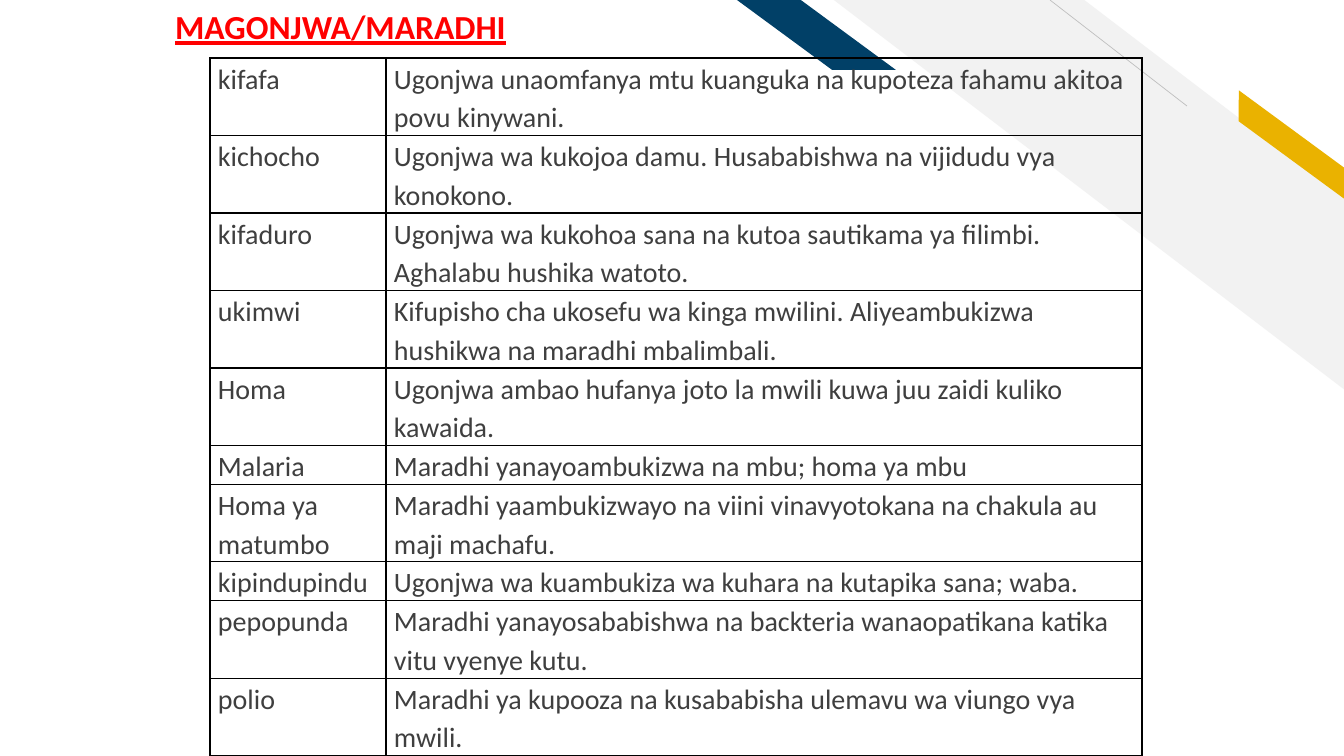
from lxml import etree
from pptx import Presentation
from pptx.dml.color import RGBColor
from pptx.enum.shapes import MSO_CONNECTOR, MSO_SHAPE
from pptx.enum.text import MSO_ANCHOR, PP_ALIGN
from pptx.oxml.ns import qn
from pptx.util import Pt

STRIPE = MSO_SHAPE.DIAGONAL_STRIPE
PARALLELOGRAM = MSO_SHAPE.PARALLELOGRAM
STRAIGHT = MSO_CONNECTOR.STRAIGHT
TOP = MSO_ANCHOR.TOP
LEFT = PP_ALIGN.LEFT

EMU_PER_PX = 914400 / 100.8
SLIDE_SIZE = (1344, 756)
FONT = "Calibri"

TITLE = "MAGONJWA/MARADHI"
TITLE_BOX = (165, 1, 1011, 50)

# Preset, box, rotation, adjustment, colour
BANDS = [
    (STRIPE, (834, 0, 511, 390), 0, 0.51, "F2F2F2"),
    (PARALLELOGRAM, (1217, 132, 149, 25), 36.3, 0.72, "EAB200"),
    (PARALLELOGRAM, (737, 0, 159, 70), 0, 1.36, "014067"),
]
HAIRLINE = (1187, 106, 1050, 0)

# Disease, meaning, lines of text in the row
DISEASES = [
    ("kifafa", "Ugonjwa unaomfanya mtu kuanguka na kupoteza fahamu akitoa povu kinywani.", 2),
    ("kichocho", "Ugonjwa wa kukojoa damu. Husababishwa na vijidudu vya konokono.", 2),
    ("kifaduro", "Ugonjwa wa kukohoa sana na kutoa sautikama ya filimbi. Aghalabu hushika watoto.", 2),
    ("ukimwi", "Kifupisho cha ukosefu wa kinga mwilini. Aliyeambukizwa hushikwa na maradhi mbalimbali.", 2),
    ("Homa", "Ugonjwa ambao hufanya joto la mwili kuwa juu zaidi kuliko kawaida.", 2),
    ("Malaria", "Maradhi yanayoambukizwa na mbu; homa ya mbu", 1),
    ("Homa ya matumbo", "Maradhi yaambukizwayo na viini vinavyotokana na chakula au maji machafu.", 2),
    ("kipindupindu", "Ugonjwa wa kuambukiza wa kuhara na kutapika sana; waba.", 1),
    ("pepopunda", "Maradhi yanayosababishwa na backteria wanaopatikana katika vitu vyenye kutu.", 2),
    ("polio", "Maradhi ya kupooza na kusababisha ulemavu wa viungo vya mwili.", 2),
]
TABLE_LEFT, TABLE_TOP = 210, 58
COLUMN_WIDTHS = (176, 756)
LINE_HEIGHT = 38
LINE_SPACING = 1.13  # keeps all ten rows above the bottom edge
CELL_MARGIN = 8


def px(length):
    return round(length * EMU_PER_PX)


def box(lengths):
    return [px(length) for length in lengths]


def color(value):
    return RGBColor.from_string(value)


def format_run(run, size, value):
    run.font.name = FONT
    run.font.size = Pt(size)
    run.font.color.rgb = color(value)


def add_band(slide, preset, bounds, rotation, adjustment, value):
    """Add a horizontally mirrored decorative band."""
    shape = slide.shapes.add_shape(preset, *box(bounds))
    shape.adjustments[0] = adjustment
    shape.rotation = rotation
    shape.shadow.inherit = False
    shape.fill.solid()
    shape.fill.fore_color.rgb = color(value)
    shape.line.fill.background()
    shape._element.spPr.find(qn("a:xfrm")).set("flipH", "1")


def add_hairline(slide):
    line = slide.shapes.add_connector(STRAIGHT, *box(HAIRLINE))
    line.line.color.rgb = color("BFBFBF")
    line.line.width = Pt(0.5)
    etree.SubElement(line._element.spPr, qn("a:effectLst"))


def format_title(title):
    title.left, title.top, title.width, title.height = box(TITLE_BOX)
    frame = title.text_frame
    frame.text = TITLE
    frame.vertical_anchor = TOP
    paragraph = frame.paragraphs[0]
    paragraph.alignment = LEFT
    run = paragraph.runs[0]
    format_run(run, 24, "FF0000")
    run.font.bold = True
    run.font.underline = True


def add_borders(cell):
    properties = cell._tc.get_or_add_tcPr()
    for side in ("lnL", "lnR", "lnT", "lnB"):
        border = etree.SubElement(properties, qn(f"a:{side}"), w=str(Pt(1)))
        fill = etree.SubElement(border, qn("a:solidFill"))
        etree.SubElement(fill, qn("a:srgbClr"), val="000000")


def fill_cell(cell, text):
    cell.margin_left = cell.margin_right = px(CELL_MARGIN)
    cell.margin_top = cell.margin_bottom = 0
    cell.text_frame.text = text
    paragraph = cell.text_frame.paragraphs[0]
    paragraph.line_spacing = LINE_SPACING
    format_run(paragraph.runs[0], 20, "3F3F3F")
    add_borders(cell)
    cell.fill.background()


def add_disease_table(slide):
    height = LINE_HEIGHT * sum(lines for _, _, lines in DISEASES)
    bounds = (TABLE_LEFT, TABLE_TOP, sum(COLUMN_WIDTHS), height)
    table = slide.shapes.add_table(len(DISEASES), len(COLUMN_WIDTHS), *box(bounds)).table
    table.first_row = False
    table.horz_banding = False
    for column, width in zip(table.columns, COLUMN_WIDTHS):
        column.width = px(width)
    for row, (disease, meaning, lines) in zip(table.rows, DISEASES):
        row.height = px(lines * LINE_HEIGHT)
        for cell, text in zip(row.cells, (disease, meaning)):
            fill_cell(cell, text)


def main():
    presentation = Presentation()
    presentation.slide_width, presentation.slide_height = box(SLIDE_SIZE)
    slide = presentation.slides.add_slide(presentation.slide_layouts[5])
    format_title(slide.shapes.title)
    for band in BANDS:
        add_band(slide, *band)
    add_hairline(slide)
    add_disease_table(slide)
    presentation.save("out.pptx")


if __name__ == "__main__":
    main()
